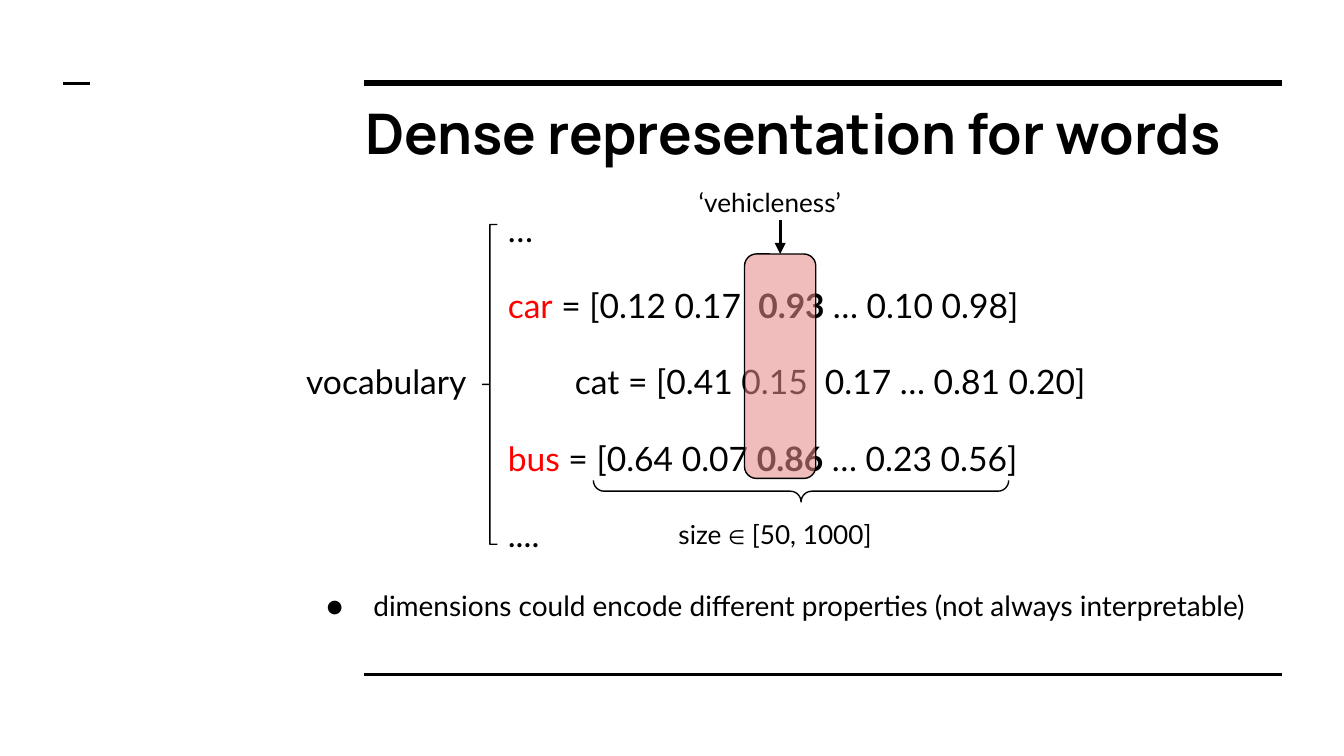
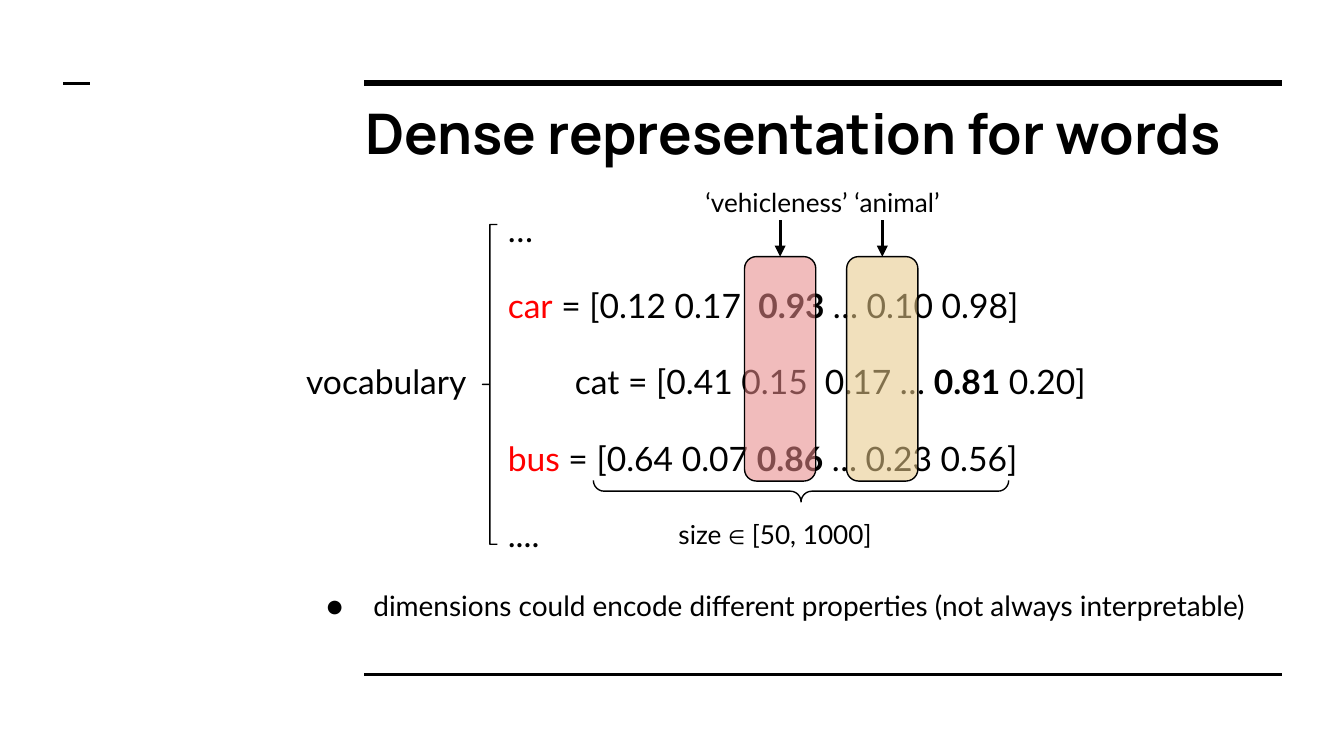
from lxml.etree import SubElement
from pptx import Presentation
from pptx.dml.color import RGBColor
from pptx.enum.shapes import MSO_CONNECTOR, MSO_SHAPE
from pptx.enum.text import MSO_ANCHOR
from pptx.oxml.ns import qn
from pptx.util import Inches, Pt

# Shared style
BLACK = RGBColor(0x00, 0x00, 0x00)
RED = RGBColor(0xFF, 0x00, 0x00)
PINK = RGBColor(0xE7, 0x88, 0x88)
SAND = RGBColor(0xE7, 0xC8, 0x88)
BODY_FONT = "Lato"
TITLE_FONT = "Manrope"
SYMBOL_FONT = "DejaVu Sans"
BAND_W, BAND_H = 0.53, 1.67
ARROW_TOP = 1.64


def add_run(p, text, size, font=BODY_FONT, color=BLACK, bold=False):
    r = p.add_run()
    r.text = text
    r.font.size = Pt(size)
    r.font.name = font
    r.font.color.rgb = color
    r.font.bold = bold


def set_indent(p, left, first=0):
    pPr = p._p.get_or_add_pPr()
    pPr.set("marL", str(Inches(left)))
    pPr.set("indent", str(Inches(first)))


def add_tab_stop(p, x):
    tabs = SubElement(p._p.get_or_add_pPr(), qn("a:tabLst"))
    SubElement(tabs, qn("a:tab"), pos=str(Inches(x)), algn="l")


def add_bullet(p, size):
    pPr = p._p.get_or_add_pPr()
    color = SubElement(pPr, qn("a:buClr"))
    SubElement(color, qn("a:srgbClr"), val=str(BLACK))
    SubElement(pPr, qn("a:buSzPts"), val=str(size * 100))
    SubElement(pPr, qn("a:buFont"), typeface=BODY_FONT)
    SubElement(pPr, qn("a:buChar"), char="●")


def add_text_frame(s, x, y, w, h):
    tf = s.shapes.add_textbox(Inches(x), Inches(y), Inches(w), Inches(h)).text_frame
    tf.word_wrap = True
    tf.vertical_anchor = MSO_ANCHOR.TOP
    tf.margin_left = tf.margin_right = Inches(0.1)
    tf.margin_top = tf.margin_bottom = Inches(0.1)
    return tf


def add_line(s, x1, y1, x2, y2, width):
    line = s.shapes.add_connector(
        MSO_CONNECTOR.STRAIGHT, Inches(x1), Inches(y1), Inches(x2), Inches(y2))
    line.line.color.rgb = BLACK
    line.line.width = Pt(width)
    SubElement(line._element.spPr, qn("a:effectLst"))
    return line


def add_outline(s, kind, x, y, w, h, adjustments):
    sp = s.shapes.add_shape(kind, Inches(x), Inches(y), Inches(w), Inches(h))
    sp.shadow.inherit = False
    sp.fill.background()
    sp.line.color.rgb = BLACK
    sp.line.width = Pt(0.75)
    for i, value in enumerate(adjustments):
        sp.adjustments[i] = value
    return sp


def add_frame(s, title):
    """Rules and title that every slide shares."""
    add_line(s, 2.71, 0.62, 9.54, 0.62, 3)
    add_line(s, 2.71, 5.02, 9.54, 5.02, 1.5)
    add_line(s, 0.47, 0.62, 0.67, 0.62, 1.5)
    p = add_text_frame(s, 2.62, 0.63, 6.91, 0.69).paragraphs[0]
    add_run(p, title, 30, TITLE_FONT, bold=True)


def add_vocabulary(s, cat_runs):
    """Word vectors with the closing bullet; runs are (text, color, bold)."""
    rows = [
        [("…", BLACK, False)],
        [("car", RED, False), (" = [0.12 0.17  ", BLACK, False),
         ("0.93 ", BLACK, True), ("… 0.10 0.98]", BLACK, False)],
        cat_runs,
        [("bus", RED, False), (" = [0.64 0.07 ", BLACK, False),
         ("0.86", BLACK, True), (" … 0.23 0.56]", BLACK, False)],
        [("....", BLACK, False)],
        [("dimensions could encode different properties "
          "(not always interpretable)", BLACK, False)],
    ]
    tf = add_text_frame(s, 2.18, 1.41, 7.37, 2.91)
    last = len(rows) - 1
    for i, runs in enumerate(rows):
        p = tf.paragraphs[0] if i == 0 else tf.add_paragraph()
        p.line_spacing = 1.15
        p.space_before = Pt(16 if i else 0)
        size = 15 if i == last else 18
        if i == last:
            set_indent(p, 0.5, -0.35)
            add_bullet(p, size)
        elif runs is cat_runs:
            add_tab_stop(p, 2)
        else:
            set_indent(p, 1, 0.5)
        for text, color, bold in runs:
            add_run(p, text, size, color=color, bold=bold)


def add_braces(s):
    add_outline(s, MSO_SHAPE.LEFT_BRACE, 3.59, 1.67, 0.11, 2.38, (0, 0.5))
    size_brace = add_outline(
        s, MSO_SHAPE.RIGHT_BRACE, 5.88, 2.11, 0.16, 3.09, (0.5, 0.5))
    size_brace.rotation = 90
    p = add_text_frame(s, 4.95, 3.76, 2.63, 0.38).paragraphs[0]
    add_run(p, "size ", 14)
    add_run(p, "∈", 10.5, SYMBOL_FONT)
    add_run(p, " [50, 1000]", 14)


def add_dimension(s, label, label_x, label_w, x, y, color, indent=0):
    """Translucent column band with its label and arrow."""
    band = add_outline(
        s, MSO_SHAPE.ROUNDED_RECTANGLE, x, y, BAND_W, BAND_H, (0.167,))
    band.fill.solid()
    band.fill.fore_color.rgb = color
    rgb = band._element.spPr.find(qn("a:solidFill")).find(qn("a:srgbClr"))
    SubElement(rgb, qn("a:alpha"), val="56000")

    p = add_text_frame(s, label_x, 1.29, label_w, 0.35).paragraphs[0]
    set_indent(p, indent)
    add_run(p, label, 14)

    middle = x + BAND_W / 2
    arrow = add_line(s, middle, ARROW_TOP, middle, y, 1.5)
    arrow.end_connect(band, 0)
    SubElement(arrow.line._get_or_add_ln(), qn("a:tailEnd"), type="triangle")


def add_words_slide(prs, cat_runs, dimensions):
    s = prs.slides.add_slide(prs.slide_layouts[6])
    add_frame(s, "Dense representation for words")
    add_vocabulary(s, cat_runs)
    add_braces(s)
    for dimension in dimensions:
        add_dimension(s, *dimension)


def main():
    prs = Presentation()
    prs.slide_width = Inches(10)
    prs.slide_height = Inches(10 * 9 / 16)

    # One dimension
    cat_start = "vocabulary\tcat = [0.41 0.15  0.17 … "
    add_words_slide(
        prs,
        [(cat_start + "0.81 0.20]", BLACK, False)],
        [("‘vehicleness’", 5.1, 1.42, 5.54, 1.89, PINK)])

    # Two dimensions
    add_words_slide(
        prs,
        [(cat_start, BLACK, False), ("0.81", BLACK, True), (" 0.20]", BLACK, False)],
        [("‘vehicleness’", 4.95, 1.57, 5.54, 1.91, PINK, 0.2),
         ("‘animal’", 6.26, 0.9, 6.3, 1.91, SAND)])

    prs.save("out.pptx")


if __name__ == "__main__":
    main()
